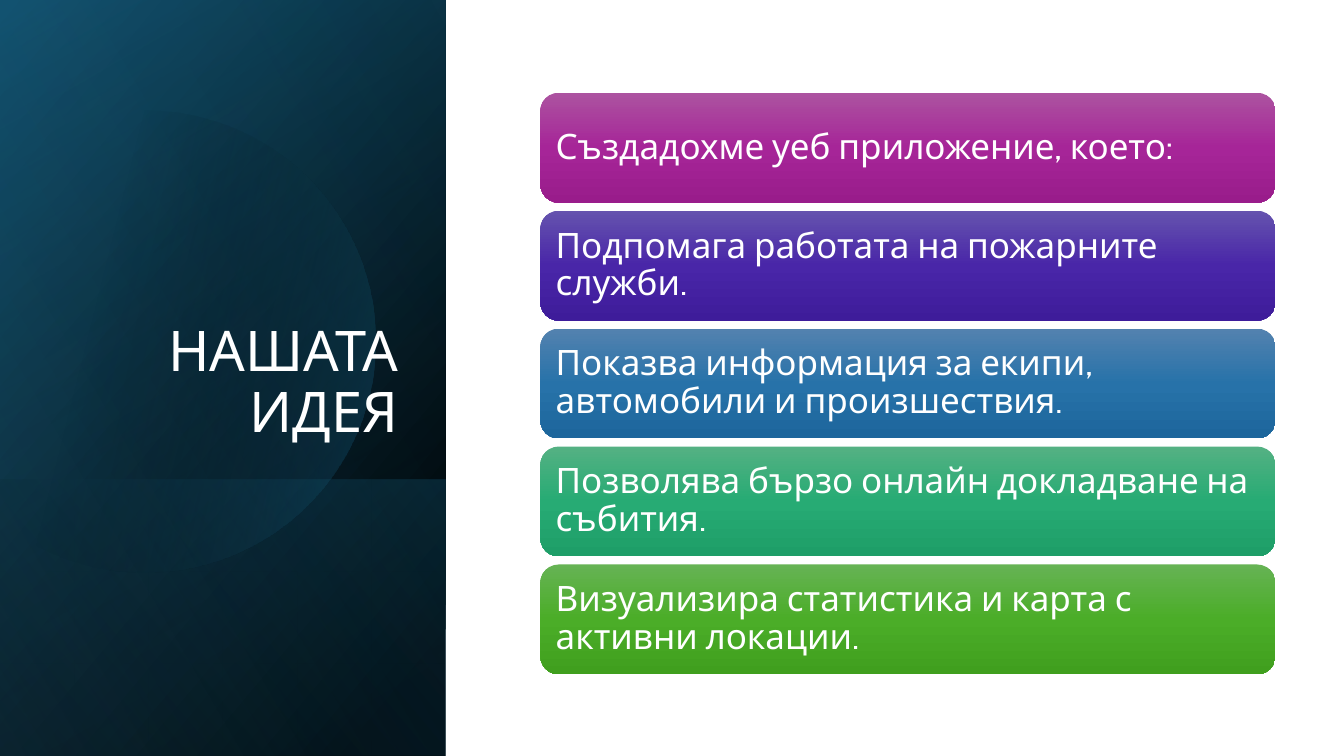
from math import acos, cos, sin

from lxml.etree import SubElement
from pptx import Presentation
from pptx.dml.color import RGBColor
from pptx.enum.shapes import MSO_SHAPE
from pptx.enum.text import MSO_ANCHOR, PP_ALIGN
from pptx.oxml.ns import qn
from pptx.util import Inches, Pt

WIDTH, HEIGHT = 13.33, 7.5
PANEL_W = WIDTH * 0.3316
CARD_X, CARD_Y, CARD_W, CARD_H, CARD_PITCH = 5.36, 0.92, 7.29, 1.09, 1.17
FONT = "Cabin"
COLORS = {
    "white": "FFFFFF", "black": "000000", "teal": "156082",
    "deep teal": "104862", "sky": "46B1E1",
}
CARDS = [
    ("Създадохме уеб приложение, което:", ("AC53A0", "A62598", "991C8B")),
    ("Подпомага работата на пожарните служби.", ("6553AE", "4926A8", "3E1C9A")),
    ("Показва информация за екипи, автомобили и произшествия.",
     ("5382AF", "2772A9", "1D669C")),
    ("Позволява бързо онлайн докладване на събития.",
     ("54B183", "27AB74", "1E9E68")),
    ("Визуализира статистика и карта с активни локации.",
     ("66B354", "4BAD28", "409F1E")),
]


def set_gradient(sp, stops, angle):
    """Fill with (position %, hex colour, opacity %) stops, clockwise angle."""
    sp.shadow.inherit = False
    sp.line.fill.background()
    sp.fill.gradient()
    grad = sp._element.spPr.find(qn("a:gradFill"))
    for child in list(grad):
        grad.remove(child)
    gs_list = SubElement(grad, qn("a:gsLst"))
    for position, color, opacity in stops:
        gs = SubElement(gs_list, qn("a:gs"), pos=str(position * 1000))
        clr = SubElement(gs, qn("a:srgbClr"), val=color)
        if opacity < 100:
            SubElement(clr, qn("a:alpha"), val=str(opacity * 1000))
    SubElement(grad, qn("a:lin"), ang=str(angle * 60000), scaled="0")


def add_panel(slide, top, stops, angle):
    """Add a turned, mirrored layer of the left panel from top to slide bottom."""
    h = HEIGHT - top
    sp = slide.shapes.add_shape(
        MSO_SHAPE.RECTANGLE, Inches((PANEL_W - h) / 2),
        Inches(top + (h - PANEL_W) / 2), Inches(h), Inches(PANEL_W))
    sp.rotation = 90
    sp._element.spPr.find(qn("a:xfrm")).set("flipH", "1")
    set_gradient(sp, stops, angle)


def add_cut_circle(slide, cx, cy, radius, stops, angle, steps=120):
    """Add a circle cut off at the slide's left edge."""
    limit = acos(-cx / radius)
    turns = [limit * (2 * i / steps - 1) for i in range(steps + 1)]
    points = [(Inches(cx + radius * cos(t)), Inches(cy + radius * sin(t)))
              for t in turns]
    builder = slide.shapes.build_freeform(*points[0])
    builder.add_line_segments(points[1:], close=True)
    set_gradient(builder.convert_to_shape(), stops, angle)


def set_text(sp, text, size, align, anchor):
    tf = sp.text_frame
    tf.text = text
    tf.word_wrap = True
    tf.vertical_anchor = anchor
    p = tf.paragraphs[0]
    p.alignment = align
    p.line_spacing = 0.9
    font = p.runs[0].font
    font.name = FONT
    font.size = Pt(size)
    font.color.rgb = RGBColor.from_string(COLORS["white"])


def add_title(slide, text):
    title = slide.shapes.title
    title.left, title.top = Inches(0.64), Inches(1.84)
    title.width, title.height = Inches(3.41), Inches(2.62)
    set_text(title, text, 40, PP_ALIGN.RIGHT, MSO_ANCHOR.BOTTOM)
    # Bring the title in front of the panel layers.
    slide.shapes._spTree.append(title._element)


def add_card(slide, row, text, shades):
    sp = slide.shapes.add_shape(
        MSO_SHAPE.ROUNDED_RECTANGLE, Inches(CARD_X),
        Inches(CARD_Y + row * CARD_PITCH), Inches(CARD_W), Inches(CARD_H))
    set_gradient(sp, [(50 * i, c, 100) for i, c in enumerate(shades)], 90)
    tf = sp.text_frame
    # The rounded outline adds its own inset of about 0.05 inch.
    tf.margin_left = tf.margin_right = Inches(0.1)
    tf.margin_top = tf.margin_bottom = Inches(0.1)
    set_text(sp, text, 25, PP_ALIGN.LEFT, MSO_ANCHOR.MIDDLE)


def main():
    prs = Presentation()
    prs.slide_width, prs.slide_height = Inches(WIDTH), Inches(HEIGHT)
    slide = prs.slides.add_slide(prs.slide_layouts[5])
    black, teal = COLORS["black"], COLORS["teal"]

    add_panel(slide, 0, [(8, black, 100), (100, COLORS["deep teal"], 100)], 50)
    add_panel(slide, 0, [(0, black, 0), (99, teal, 46)], 30)
    add_panel(slide, 4.76, [(2, teal, 29), (100, black, 30)], 130)
    add_cut_circle(slide, 1.43, 3.39, 2.29,
                   [(29, black, 0), (100, teal, 43)], 14)
    add_panel(slide, 0, [(0, black, 0), (99, COLORS["sky"], 11)], 120)

    add_title(slide, "НАШАТА ИДЕЯ")
    for row, (text, shades) in enumerate(CARDS):
        add_card(slide, row, text, shades)
    prs.save("out.pptx")


if __name__ == "__main__":
    main()
